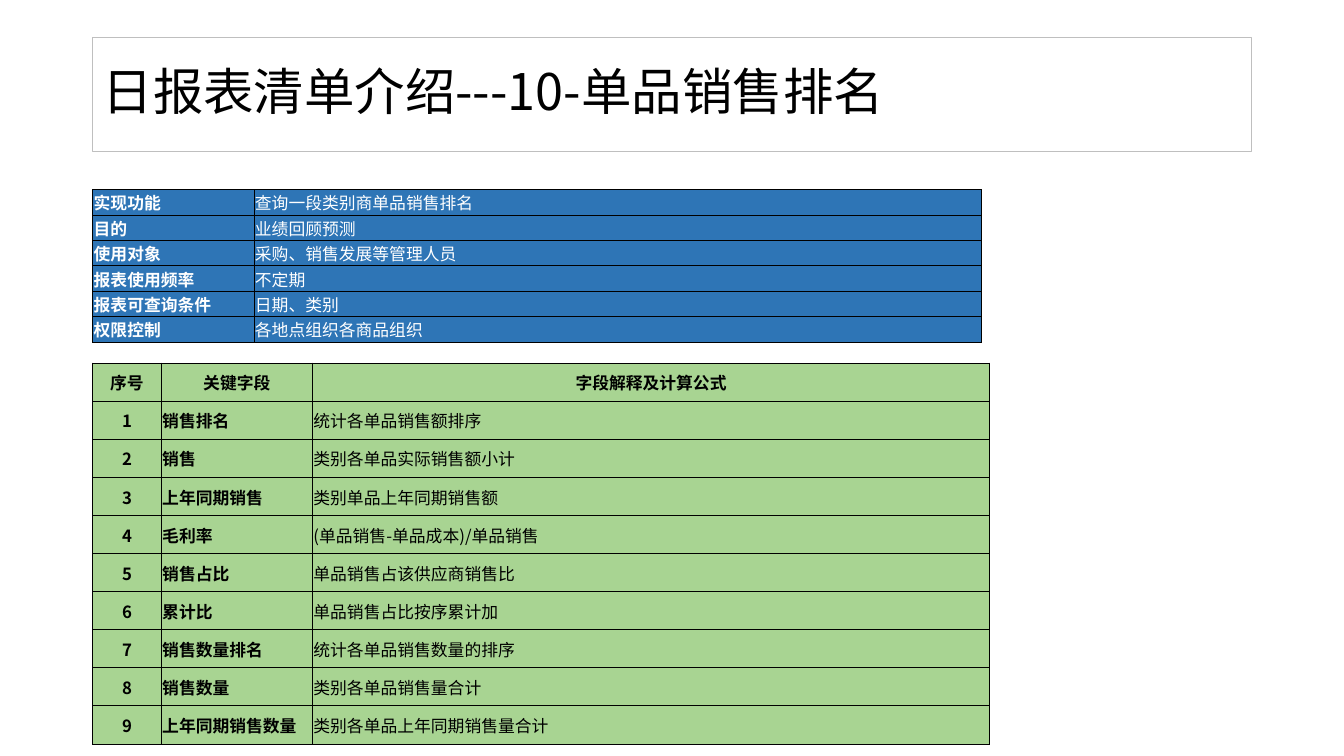
from lxml import etree
from pptx import Presentation
from pptx.dml.color import RGBColor
from pptx.enum.shapes import MSO_SHAPE
from pptx.enum.text import MSO_ANCHOR, PP_ALIGN
from pptx.oxml.ns import qn
from pptx.util import Inches, Pt

RECT = MSO_SHAPE.RECTANGLE
MIDDLE = MSO_ANCHOR.MIDDLE
LEFT, CENTER = PP_ALIGN.LEFT, PP_ALIGN.CENTER
WIDE, HIGH = Inches(13.33), Inches(7.5)
EDGE = 6.9

USES = [
    ("实现功能", "查询一段类别商单品销售排名"),
    ("目的", "业绩回顾预测"),
    ("使用对象", "采购、销售发展等管理人员"),
    ("报表使用频率", "不定期"),
    ("报表可查询条件", "日期、类别"),
    ("权限控制", "各地点组织各商品组织"),
]
HEADS = ("序号", "关键字段", "字段解释及计算公式")
FIELDS = [
    ("销售排名", "统计各单品销售额排序"),
    ("销售", "类别各单品实际销售额小计"),
    ("上年同期销售", "类别单品上年同期销售额"),
    ("毛利率", "(单品销售-单品成本)/单品销售"),
    ("销售占比", "单品销售占该供应商销售比"),
    ("累计比", "单品销售占比按序累计加"),
    ("销售数量排名", "统计各单品销售数量的排序"),
    ("销售数量", "类别各单品销售量合计"),
    ("上年同期销售数量", "类别各单品上年同期销售量合计"),
]


def color(code):
    return RGBColor.from_string(code)


def across(share):
    return round(WIDE * share / 100)


def down(share):
    return round(HIGH * share / 100)


class Page:
    font = "Noto Sans CJK SC"
    black, white, gray = "000000", "FFFFFF", "BFBFBF"
    blue, green = "2E75B6", "A8D492"

    def __init__(self, deck):
        self.slide = deck.slides.add_slide(deck.slide_layouts[6])

    def label(self, frame, text, size, ink, bold=False, align=LEFT):
        frame.text = text
        para = frame.paragraphs[0]
        para.alignment = align
        for run in para.runs:
            font = run.font
            font.size, font.bold, font.name = Pt(size), bold, self.font
            font.color.rgb = color(ink)
            etree.SubElement(font._element, qn("a:ea"), typeface=self.font)
        return para

    def title(self, text, left, top, width, height):
        box = self.slide.shapes.add_shape(
            RECT, across(left), down(top), across(width), down(height))
        box.shadow.inherit = False
        box.fill.background()
        box.line.color.rgb = color(self.gray)
        box.line.width = Pt(0.75)
        box.text_frame.word_wrap = True
        box.text_frame.vertical_anchor = MIDDLE
        para = self.label(box.text_frame, text, 36, self.black)
        para.line_spacing = 0.9

    def table(self, left, top, widths, height, count):
        frame = self.slide.shapes.add_table(
            count, len(widths), across(left), down(top),
            across(sum(widths)), down(height * count))
        table = frame.table
        table.first_row = table.horz_banding = False
        for col, width in zip(table.columns, widths):
            col.width = across(width)
        for row in table.rows:
            row.height = down(height)
        return table

    def border(self, cell, sides):
        props = cell._tc.get_or_add_tcPr()
        for side in sides:
            line = etree.SubElement(props, qn("a:ln" + side), w=str(Pt(0.5)))
            fill = etree.SubElement(line, qn("a:solidFill"))
            etree.SubElement(fill, qn("a:srgbClr"), val=self.black)

    def inset(self, cell):
        cell.margin_left = cell.margin_right = cell.margin_top = Inches(0.01)
        cell.margin_bottom = 0
        cell.vertical_anchor = MIDDLE

    def cell(self, cell, text, fill, ink, bold, align=LEFT):
        self.inset(cell)
        self.border(cell, "LRTB")
        cell.fill.solid()
        cell.fill.fore_color.rgb = color(fill)
        self.label(cell.text_frame, text, 12, ink, bold, align)

    def gap(self, table):
        cells = list(table.rows[0].cells)
        cells[0].merge(cells[-1])
        for cell in cells:
            self.inset(cell)
            self.border(cell, "B")
            cell.fill.background()
            para = cell.text_frame.paragraphs[0]
            etree.SubElement(para._p, qn("a:endParaRPr"), sz="1200")

    def uses(self):
        table = self.table(EDGE, 21.73, (12, 54.15), 3.33, len(USES) + 1)
        self.gap(table)
        for r, row in enumerate(USES, 1):
            for c, text in enumerate(row):
                self.cell(table.cell(r, c), text, self.blue, self.white, c == 0)

    def fields(self):
        rows = [HEADS] + [(str(n), *row) for n, row in enumerate(FIELDS, 1)]
        table = self.table(EDGE, 48, (5.1, 11.25, 50.4), 5.04, len(rows))
        for r, row in enumerate(rows):
            for c, text in enumerate(row):
                align = CENTER if r == 0 or c == 0 else LEFT
                bold = r == 0 or c < 2
                self.cell(table.cell(r, c), text, self.green, self.black,
                          bold, align)


def main():
    deck = Presentation()
    deck.slide_width, deck.slide_height = WIDE, HIGH
    page = Page(deck)
    page.title("日报表清单介绍---10-单品销售排名", EDGE, 4.97, 86.25, 15.1)
    page.uses()
    page.fields()
    deck.save("out.pptx")


if __name__ == "__main__":
    main()
